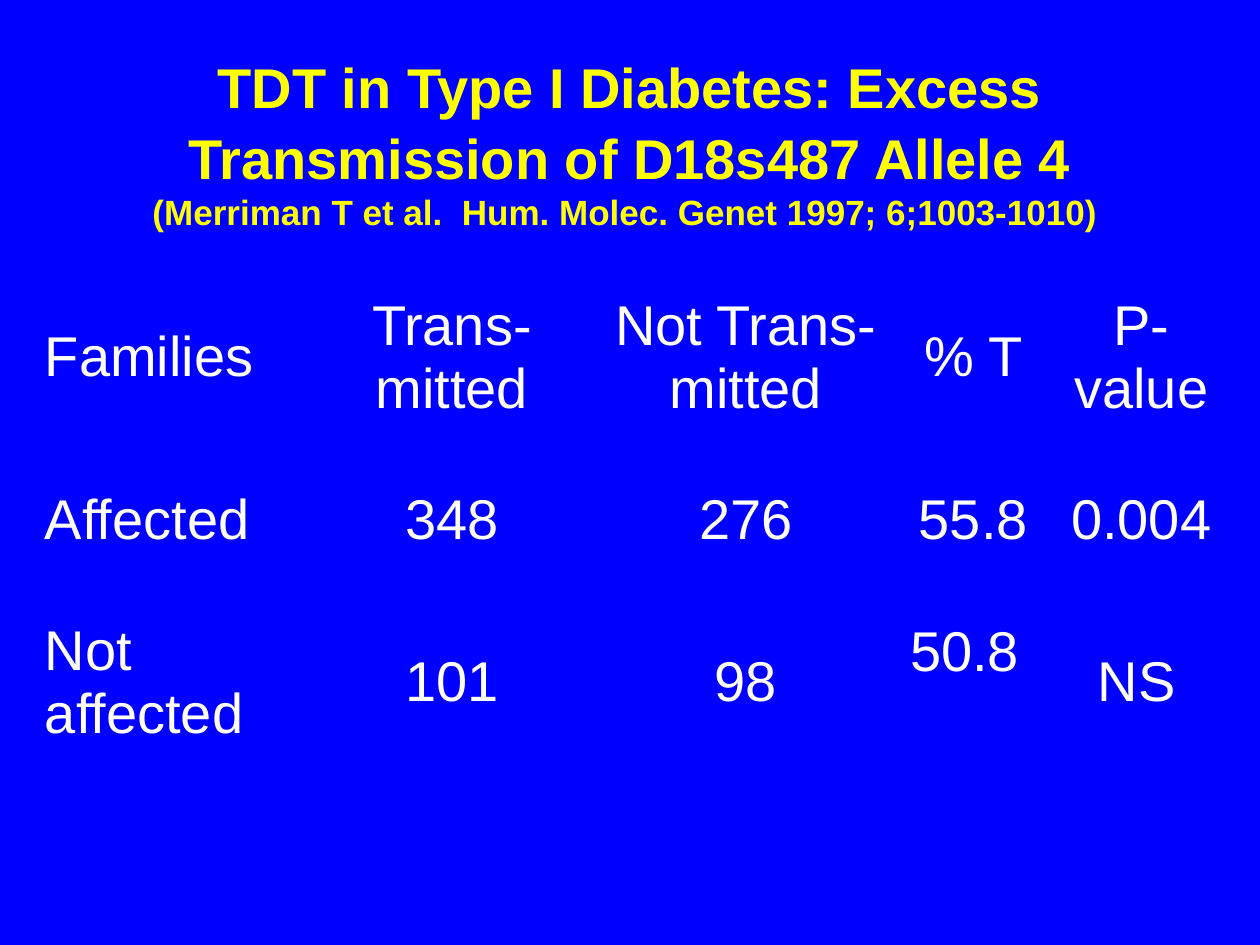
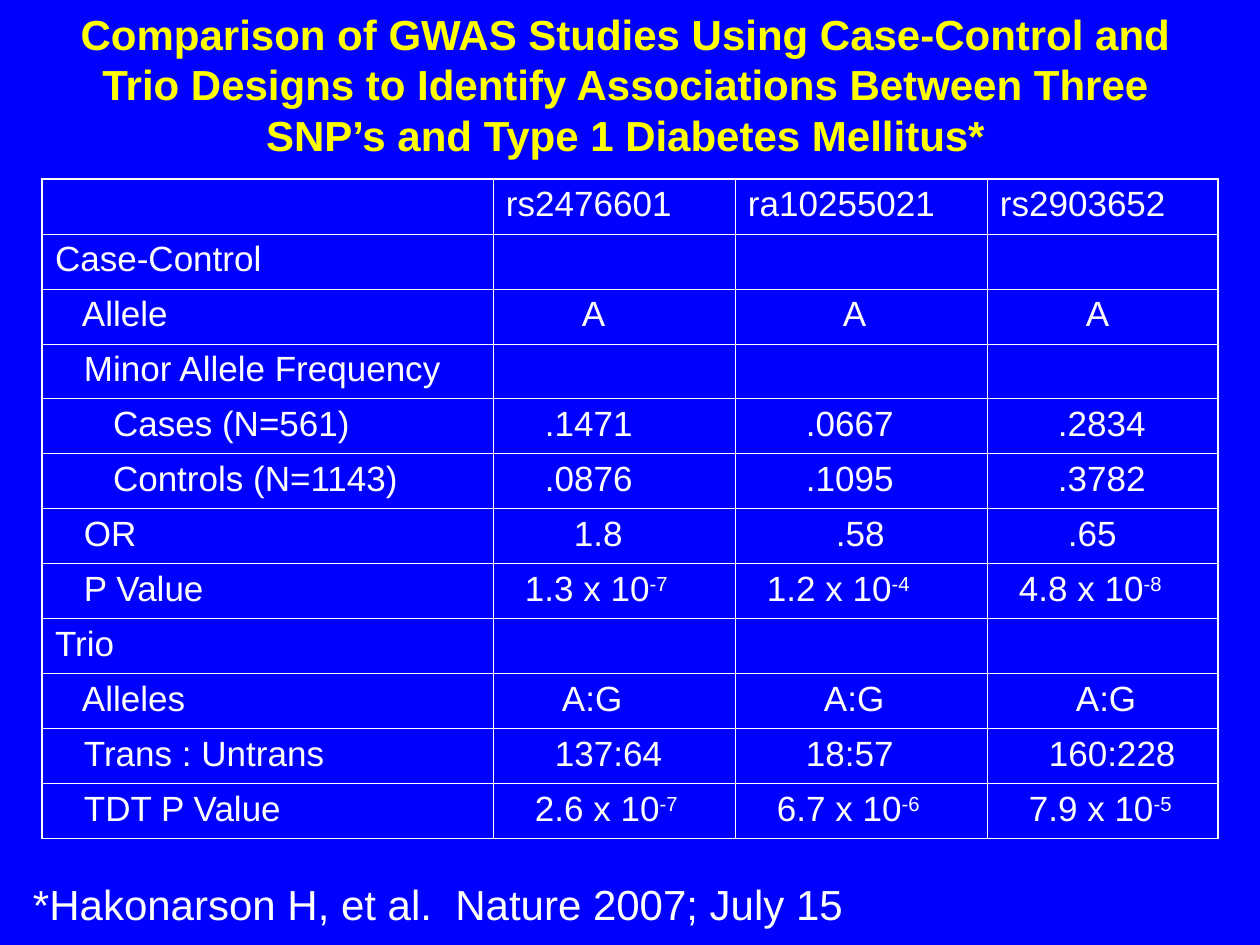
from lxml import etree
from pptx import Presentation
from pptx.dml.color import RGBColor
from pptx.enum.text import MSO_ANCHOR as ANCHOR, MSO_AUTO_SIZE as AUTOSIZE, PP_ALIGN as ALIGN
from pptx.oxml.ns import qn
from pptx.util import Inches, Pt

PX = 914400 // 126
PAD = 13
COLORS = {"background": "0000FF", "title": "FFFF00", "text": "FFFFFF"}
NO_STYLE = "{2D5ABB26-0587-4C30-8999-92F81FD0307C}"


def write(paragraph, text, size, color="text", bold=False):
    for part, piece in enumerate(text.split("^")):
        run = paragraph.add_run()
        run.text = piece
        for name, value in {"name": "Arial", "size": Pt(size), "bold": bold}.items():
            setattr(run.font, name, value)
        run.font.color.rgb = RGBColor.from_string(COLORS[color])
        if part:
            run._r.get_or_add_rPr().set("baseline", "30000")


def add_grid(slide, left, top, widths, heights, rows, size, anchor, line, outer, inner):
    frame = slide.shapes.add_table(len(heights), len(widths), left * PX, top * PX,
                                   sum(widths) * PX, sum(heights) * PX)
    grid = frame.table
    grid.first_row = grid.horz_banding = False
    grid._tbl.tblPr.find(qn("a:tableStyleId")).text = NO_STYLE
    for column, width in zip(grid.columns, widths):
        column.width = width * PX
    for r, (row, height) in enumerate(zip(rows, heights)):
        grid.rows[r].height = height * PX
        for c, entry in enumerate(row):
            cell = grid.cell(r, c)
            edges = {"L": c == 0, "R": c == len(widths) - 1,
                     "T": r == 0, "B": r == len(heights) - 1}
            for side, on_edge in edges.items():
                border = etree.SubElement(cell._tc.get_or_add_tcPr(), qn(f"a:ln{side}"),
                                          w=str(Pt(outer if on_edge else inner)))
                fill = etree.SubElement(border, qn("a:solidFill"))
                etree.SubElement(fill, qn("a:srgbClr"), val=COLORS[line])
            cell.fill.background()
            cell.vertical_anchor = anchor
            paragraph = cell.text_frame.paragraphs[0]
            if isinstance(entry, tuple):
                entry, indent = entry
                cell.margin_left = (PAD + indent) * PX
            else:
                paragraph.alignment = ALIGN.CENTER
            if entry:
                write(paragraph, entry, size)
    return grid


deck = Presentation()
deck.slide_width, deck.slide_height = Inches(10), Inches(7.5)
background = deck.slide_master.background.fill
background.solid()
background.fore_color.rgb = RGBColor.from_string(COLORS["background"])

headings = [
    ((63, 73, 1134, 158), [[("TDT in Type I Diabetes: Excess", 32), (" ", 44),
                            ("Transmission of D18s487 Allele 4", 32)],
                           [("(Merriman T et al.  Hum. Molec. Genet 1997; 6;1003-1010) ", 20)]]),
    ((32, 42, 1187, 84), [[("Comparison of GWAS Studies Using Case-Control and Trio Designs to "
                            "Identify Associations Between Three SNP’s and Type 1 Diabetes "
                            "Mellitus*", 24)]]),
]
slides = []
for box, lines in headings:
    slide = deck.slides.add_slide(deck.slide_layouts[5])
    title = slide.shapes.title
    for name, value in zip(("left", "top", "width", "height"), box):
        setattr(title, name, value * PX)
    frame = title.text_frame
    for name, value in {"word_wrap": True, "auto_size": AUTOSIZE.NONE,
                        "vertical_anchor": ANCHOR.MIDDLE}.items():
        setattr(frame, name, value)
    heading = frame.paragraphs[0]
    heading.alignment = ALIGN.CENTER
    for number, pieces in enumerate(lines):
        if number:
            heading.add_line_break()
        for text, size in pieces:
            write(heading, text, size, "title", True)
    slides.append(slide)
tdt_slide, gwas_slide = slides
tdt_slide.shapes.title.text_frame.margin_bottom = 46 * PX

transmission_rows = [
    [("Families", 0), "Trans-mitted", "Not Trans-mitted", "% T", "P-value"],
    [("Affected", 0), "348", "276", "55.8", "0.004"],
    [("Not affected", 0), "101", "98", "50.8", ("NS", 31)],
]
transmission = add_grid(tdt_slide, 32, 284, [273, 294, 294, 161, 175], [147, 178, 147],
                        transmission_rows, 32, ANCHOR.MIDDLE, "background", 0.45, 0.45)
unaffected_percent = transmission.cell(2, 3)
for name, value in {"vertical_anchor": ANCHOR.TOP, "margin_top": 12 * PX,
                    "margin_right": 30 * PX}.items():
    setattr(unaffected_percent, name, value)

blank = [("", 0)] * 3
snp_rows = [
    [("", 0), ("rs2476601", 0), ("ra10255021", 0), ("rs2903652", 0)],
    [("Case-Control", 0), *blank],
    [("Allele", 27), ("A", 76), ("A", 95), ("A", 86)],
    [("Minor Allele Frequency", 29), *blank],
    [("Cases (N=561)", 58), (".1471", 39), (".0667", 58), (".2834", 58)],
    [("Controls (N=1143)", 58), (".0876", 39), (".1095", 58), (".3782", 58)],
    [("OR", 29), ("1.8", 68), (".58", 88), (".65", 68)],
    [("P Value", 29), ("1.3 x 10^-7", 19), ("1.2 x 10^-4", 19), ("4.8 x 10^-8", 19)],
    [("Trio", 0), *blank],
    [("Alleles", 27), ("A:G", 56), ("A:G", 76), ("A:G", 76)],
    [("Trans : Untrans", 29), ("137:64", 49), ("18:57", 58), ("160:228", 49)],
    [("TDT P Value", 29), ("2.6 x 10^-7", 29), ("6.7 x 10^-6", 29), ("7.9 x 10^-5", 29)],
]
add_grid(gwas_slide, 42, 179, [451, 242, 252, 231], [55] * len(snp_rows),
         snp_rows, 20, ANCHOR.TOP, "text", 1.08, 0.45)

citation = gwas_slide.shapes.add_textbox(9 * PX, 872 * PX, 863 * PX, 63 * PX).text_frame
citation.word_wrap = True
citation.margin_left = 24 * PX
write(citation.paragraphs[0], "*Hakonarson H, et al.  Nature 2007; July 15", 24)

deck.save("out.pptx")
